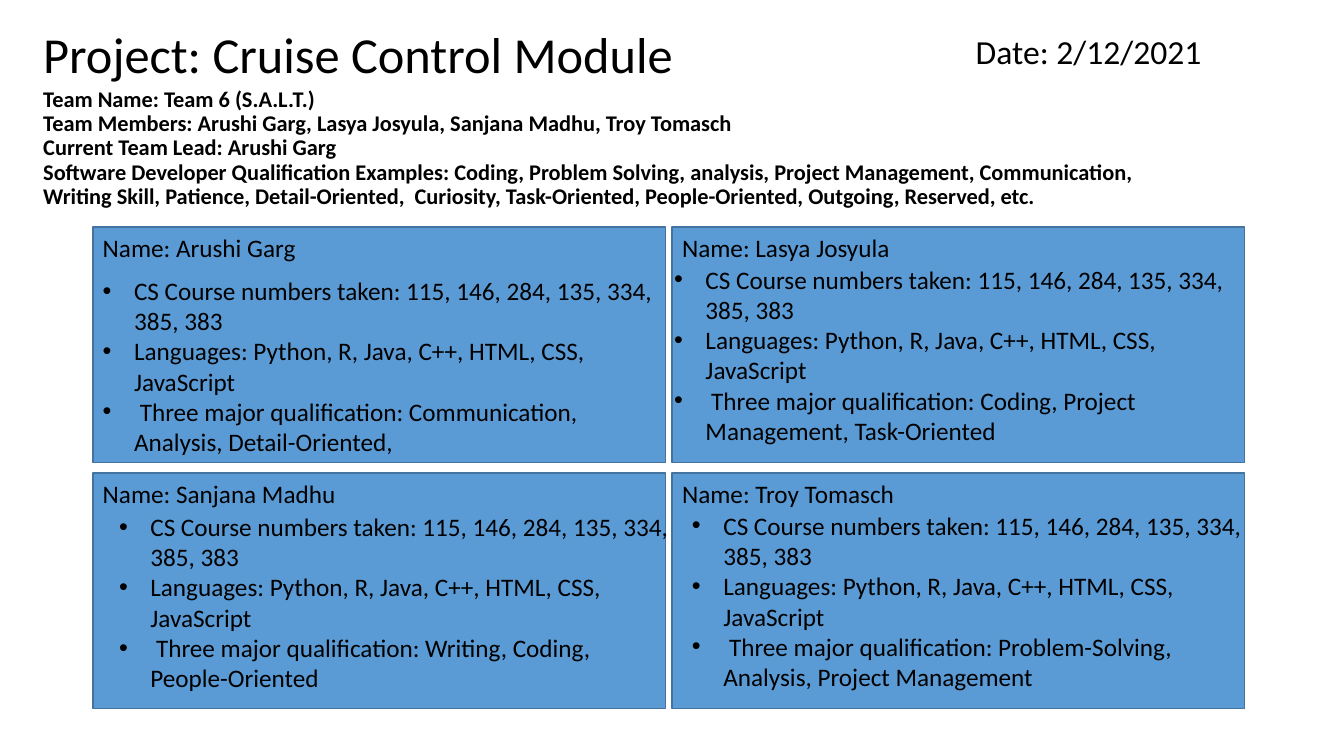
from lxml import etree
from pptx import Presentation
from pptx.dml.color import RGBColor
from pptx.enum import shapes, text
from pptx.oxml.ns import qn
from pptx.util import Cm, Pt

BLACK = RGBColor(0x00, 0x00, 0x00)
CARD_FILL = RGBColor(0x5B, 0x9B, 0xD5)
CARD_LINE = RGBColor(0x43, 0x73, 0x9E)
FONT = "Calibri"

CARD_W, CARD_H = 14.43, 5.94
GAP_X, GAP_Y = 0.17, 0.26
INDENT = Cm(0.79)

TEAM_LINES = [
    "Team Name: Team 6 (S.A.L.T.)",
    "Team Members: Arushi Garg, Lasya Josyula, Sanjana Madhu, Troy Tomasch",
    "Current Team Lead: Arushi Garg",
    "Software Developer Qualification Examples: Coding, Problem Solving, analysis, "
    "Project Management, Communication, Writing Skill, Patience, Detail-Oriented,  "
    "Curiosity, Task-Oriented, People-Oriented, Outgoing, Reserved, etc.",
]
COURSES = "CS Course numbers taken: 115, 146, 284, 135, 334, 385, 383"
LANGUAGES = "Languages: Python, R, Java, C++, HTML, CSS, JavaScript"

# Name, three qualifications, offset of the list from the card's corner
MEMBERS = [
    ("Arushi Garg", "Communication, Analysis, Detail-Oriented,", (0, 1.09)),
    ("Lasya Josyula", "Coding, Project Management, Task-Oriented", (-0.2, 0.81)),
    ("Sanjana Madhu", "Writing, Coding, People-Oriented", (0.41, 0.84)),
    ("Troy Tomasch", "Problem-Solving, Analysis, Project Management", (0.25, 0.81)),
]


def add_bullet(p):
    pPr = p._p.get_or_add_pPr()
    pPr.set("marL", str(INDENT))
    pPr.set("indent", str(-INDENT))
    etree.SubElement(pPr, qn("a:buFont")).set("typeface", "Arial")
    etree.SubElement(pPr, qn("a:buChar")).set("char", "•")


def add_text(parent, box, lines, size=18, bold=False, spacing=None,
             anchor=text.MSO_ANCHOR.TOP, bullets=False):
    """Add a text box with one paragraph per line; box is in centimetres."""
    sp = parent.add_textbox(*map(Cm, box))
    tf = sp.text_frame
    tf.word_wrap = True
    tf.vertical_anchor = anchor
    for i, line in enumerate(lines):
        p = tf.add_paragraph() if i else tf.paragraphs[0]
        if spacing:
            p.line_spacing = spacing
        if bullets:
            add_bullet(p)
        r = p.add_run()
        r.text = line
        r.font.name = FONT
        r.font.size = Pt(size)
        r.font.bold = bold
        r.font.color.rgb = BLACK
    return sp


def add_header(slide, left, top, width):
    middle = text.MSO_ANCHOR.MIDDLE
    add_text(slide.shapes, (left, top, width, 2.03),
             ["Project: Cruise Control Module"], size=36, spacing=0.9, anchor=middle)
    add_text(slide.shapes, (left, top + 1.6, width, 3.43), TEAM_LINES,
             size=16, bold=True, spacing=0.9, anchor=middle)
    add_text(slide.shapes, (left + 23.5, top + 0.23, 8.3, 1.27),
             ["Date: 2/12/2021"], size=24)


def add_member_card(slide, left, top, name, skills, list_offset):
    group = slide.shapes.add_group_shape()
    card = group.shapes.add_shape(shapes.MSO_SHAPE.RECTANGLE,
                                  *map(Cm, (left, top, CARD_W, CARD_H)))
    card.shadow.inherit = False
    card.fill.solid()
    card.fill.fore_color.rgb = CARD_FILL
    card.line.color.rgb = CARD_LINE
    card.line.width = Pt(1)
    add_text(group.shapes, (left, top, CARD_W, 1.02), [f"Name: {name}"])

    dx, dy = list_offset
    add_text(slide.shapes, (left + dx, top + dy, CARD_W, 4.88),
             [COURSES, LANGUAGES, f" Three major qualification: {skills}"],
             bullets=True)


def add_member_grid(slide, left, top):
    for i, member in enumerate(MEMBERS):
        row, col = divmod(i, 2)
        add_member_card(slide, left + col * (CARD_W + GAP_X),
                        top + row * (CARD_H + GAP_Y), *member)


def main():
    prs = Presentation()
    prs.slide_width, prs.slide_height = Cm(33.87), Cm(19.05)
    slide = prs.slides.add_slide(prs.slide_layouts[6])
    add_header(slide, 0.84, 0.43, 29.21)
    add_member_grid(slide, 2.34, 5.72)
    prs.save("out.pptx")


if __name__ == "__main__":
    main()
